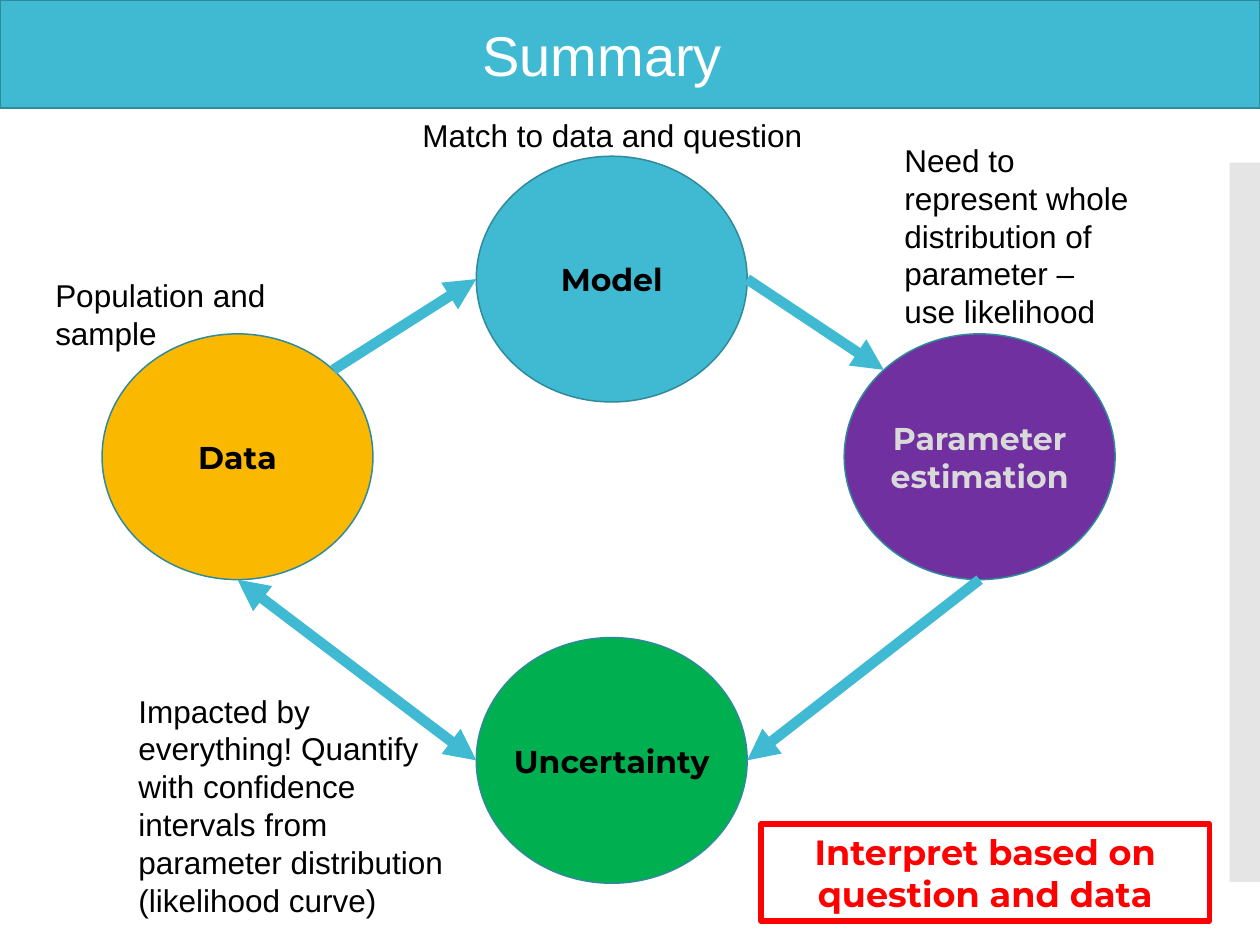
from collections import namedtuple
from math import cos, radians, sin

from lxml.etree import SubElement
from pptx import Presentation
from pptx.dml.color import RGBColor
from pptx.enum.shapes import MSO_CONNECTOR as CONN, MSO_SHAPE as SHAPE
from pptx.enum.text import MSO_ANCHOR as ANCHOR, PP_ALIGN as ALIGN
from pptx.oxml.ns import qn
from pptx.util import Inches, Pt

Box = namedtuple("Box", "x y w h")

CELL = Inches(0.1)
COLS, ROWS = 100, 75
NODE_W, NODE_H = 21.5, 19.5

TEAL = RGBColor(0x40, 0xBA, 0xD2)
DARK_TEAL = RGBColor(0x2F, 0x8A, 0x9B)
AMBER = RGBColor(0xFA, 0xB9, 0x00)
PURPLE = RGBColor(0x70, 0x30, 0xA0)
GREEN = RGBColor(0x00, 0xB0, 0x50)
RED = RGBColor(0xFF, 0x00, 0x00)
WHITE = RGBColor(0xFF, 0xFF, 0xFF)
BLACK = RGBColor(0x00, 0x00, 0x00)
LIGHT_GRAY = RGBColor(0xD9, 0xD9, 0xD9)
PALE_GRAY = RGBColor(0xE5, 0xE5, 0xE5)


def emu(*lengths):
    """Turn grid lengths into slide units."""
    return [round(n * CELL) for n in lengths]


def add_panel(slide, kind, box, fill, line=None, width=0.85):
    """Add a filled shape with an optional outline."""
    sp = slide.shapes.add_shape(kind, *emu(*box))
    sp.shadow.inherit = False
    sp.fill.solid()
    sp.fill.fore_color.rgb = fill
    if line is None:
        sp.line.fill.background()
    else:
        sp.line.color.rgb = line
        sp.line.width = Pt(width)
    return sp


def write(tf, text, size, color, font="Arial", bold=False, align=ALIGN.LEFT):
    """Fill a text frame with one wrapped paragraph."""
    tf.word_wrap = True
    p = tf.paragraphs[0]
    p.text = text
    p.alignment = align
    p.font.size = Pt(size)
    p.font.name = font
    p.font.bold = bold
    p.font.color.rgb = color


def add_text(slide, box, text, **style):
    """Add a text box at 18 points."""
    tf = slide.shapes.add_textbox(*emu(*box)).text_frame
    write(tf, text, 18, **style)
    return tf


def add_header(slide, box):
    """Draw the banner and place the title over it."""
    add_panel(slide, SHAPE.RECTANGLE, box, TEAL, DARK_TEAL)
    title = slide.shapes.title
    title.left, title.top, title.width, title.height = emu(
        box.x + 5.4, box.y + 1.1, 84.8, 6.4)
    write(title.text_frame, "Summary", 32, WHITE, align=ALIGN.CENTER)
    title.text_frame.vertical_anchor = ANCHOR.MIDDLE
    title.element.getparent().append(title.element)


def rim(box, degrees):
    """Return the point of an ellipse at an angle clockwise from the right."""
    angle = radians(degrees)
    return (box.x + box.w / 2 * (1 + cos(angle)),
            box.y + box.h / 2 * (1 + sin(angle)))


def add_arrow(slide, start, end, both=False):
    """Draw a thick arrow, with a head at one or both ends."""
    cxn = slide.shapes.add_connector(CONN.STRAIGHT, *emu(*start, *end))
    cxn.line.color.rgb = TEAL
    cxn.line.width = Pt(6)
    ln = cxn.line.fill._xPr
    for tag in ("a:headEnd", "a:tailEnd") if both else ("a:tailEnd",):
        SubElement(ln, qn(tag), type="triangle")
    SubElement(ln.getparent(), qn("a:effectLst"))


def add_cycle(slide, box):
    """Draw the four nodes and the arrows that link them."""
    middle = (box.w - NODE_W) / 2 + 0.25
    nodes = [
        ("Data", 0, 14.1, AMBER, BLACK),
        ("Model", middle, 0, TEAL, BLACK),
        ("Parameter estimation", box.w - NODE_W, 14.1, PURPLE, LIGHT_GRAY),
        ("Uncertainty", middle, box.h - NODE_H, GREEN, BLACK),
    ]
    ovals = [Box(box.x + x, box.y + y, NODE_W, NODE_H) for _, x, y, *_ in nodes]
    for oval, (_, _, _, fill, _) in zip(ovals, nodes):
        add_panel(slide, SHAPE.OVAL, oval, fill, DARK_TEAL)

    data, model, parameter, uncertainty = ovals
    add_arrow(slide, rim(data, -45), rim(model, 180))
    add_arrow(slide, rim(model, 0), rim(parameter, 225))
    add_arrow(slide, rim(parameter, 90), rim(uncertainty, 0))
    add_arrow(slide, rim(data, 90), rim(uncertainty, 180), both=True)

    for oval, (name, _, _, _, color) in zip(ovals, nodes):
        tf = add_text(slide, oval, name, color=color, font="Montserrat",
                      bold=True, align=ALIGN.CENTER)
        tf.vertical_anchor = ANCHOR.MIDDLE


def add_notes_around(slide, box):
    """Place the comments beside the nodes."""
    notes = [
        ("Population and sample", 3.4, 12.7, 21.1, 7.1, ALIGN.LEFT),
        ("Match to data and question", 30.7, 0, 35.8, 4, ALIGN.CENTER),
        ("Impacted by everything! Quantify with confidence intervals from "
         "parameter distribution (likelihood curve)",
         10, 45.7, 28.2, 19.2, ALIGN.LEFT),
        ("Need to represent whole distribution of parameter – use likelihood",
         70.8, 2, 20, 16.2, ALIGN.LEFT),
    ]
    for text, x, y, w, h, align in notes:
        add_text(slide, Box(box.x + x, box.y + y, w, h), text,
                 color=BLACK, align=align)


def add_conclusion(slide, box):
    """Draw the outlined closing message."""
    sp = add_panel(slide, SHAPE.RECTANGLE, box, WHITE, RED, 3)
    color = sp.fill._xPr.find(qn("a:solidFill"))[0]
    SubElement(color, qn("a:alpha"), val="67000")
    write(sp.text_frame, "Interpret based on question and data", 20, RED,
          "Montserrat", True, ALIGN.CENTER)


def main():
    """Build and save the summary slide."""
    prs = Presentation()
    prs.slide_width, prs.slide_height = emu(COLS, ROWS)
    slide = prs.slides.add_slide(prs.slide_layouts[5])
    add_panel(slide, SHAPE.RECTANGLE, Box(97.6, 12.9, 2.4, 57.1), PALE_GRAY)
    add_header(slide, Box(0, 0, COLS, 8.6))
    add_cycle(slide, Box(8.1, 12.4, 80.4, 57.7))
    add_notes_around(slide, Box(0, 8.7, COLS, 66.3))
    add_conclusion(slide, Box(60.4, 65.4, 35.6, 7.7))
    prs.save("out.pptx")


if __name__ == "__main__":
    main()
